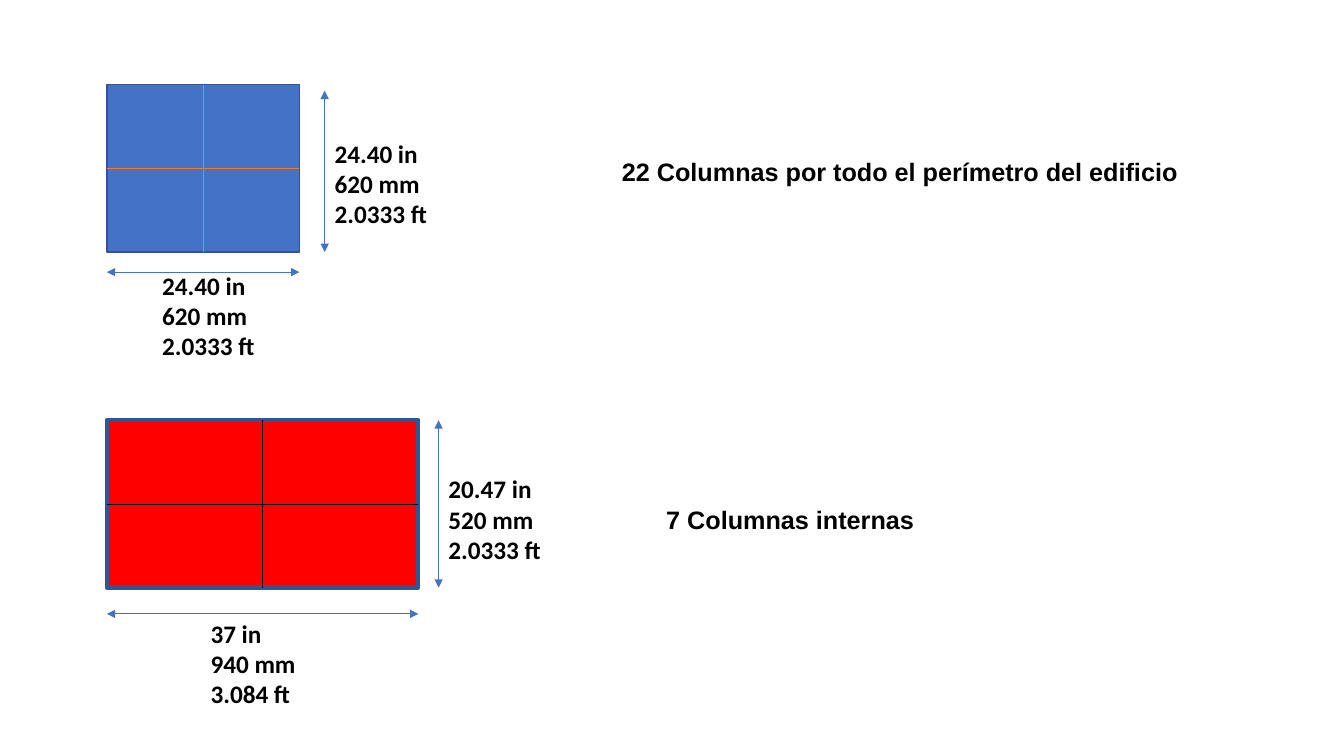
"""Build a slide that shows the cross sections of two kinds of building column."""
from dataclasses import dataclass

from lxml.etree import SubElement
from pptx import Presentation
from pptx.dml.color import RGBColor
from pptx.enum.shapes import MSO_CONNECTOR, MSO_SHAPE
from pptx.enum.text import MSO_AUTO_SIZE, PP_ALIGN
from pptx.oxml.ns import qn
from pptx.shapes.autoshape import Shape
from pptx.shapes.connector import Connector
from pptx.slide import Slide
from pptx.util import Emu, Pt

EMU_PER_PX = 9144
COLORS = {
    "blue": "4472C4",
    "navy": "325491",
    "red": "FF0000",
    "orange": "ED7D31",
    "black": "000000",
}
TOP, LEFT, BOTTOM, RIGHT = range(4)


@dataclass(frozen=True)
class Box:
    left: int
    top: int
    width: int
    height: int

    @property
    def right(self) -> int:
        return self.left + self.width

    @property
    def bottom(self) -> int:
        return self.top + self.height


@dataclass(frozen=True)
class Label:
    box: Box
    lines: tuple[str, ...]
    font: str = "Calibri"


@dataclass(frozen=True)
class Column:
    box: Box
    fill: str
    border: float
    axis: str
    width_arrow_y: int
    height_arrow_x: int
    height_arrow_top: int
    labels: tuple[Label, ...]


COLUMNS = (
    Column(
        Box(106, 84, 191, 166), "blue", 1, "orange", 270, 322, 90,
        (
            Label(Box(322, 132, 114, 101), ("24.40 in", "620 mm", "2.0333 ft")),
            Label(Box(151, 263, 122, 101), ("24.40 in", "620 mm", "2.0333 ft")),
            Label(Box(607, 150, 583, 40),
                  ("22 Columnas por todo el perímetro del edificio",), "Arial"),
        ),
    ),
    Column(
        Box(106, 417, 309, 166), "red", 3, "black", 609, 435, 417,
        (
            Label(Box(435, 465, 114, 101), ("20.47 in", "520 mm", "2.0333 ft")),
            Label(Box(199, 608, 123, 101), ("37 in", "940 mm", "3.084 ft")),
            Label(Box(651, 495, 267, 40), ("7 Columnas internas",), "Arial"),
        ),
    ),
)


def px(value: int) -> Emu:
    """Turn px into EMU."""
    return Emu(value * EMU_PER_PX)


def color(name: str) -> RGBColor:
    """Look up a colour by its name."""
    return RGBColor.from_string(COLORS[name])


def place(box: Box) -> tuple[Emu, Emu, Emu, Emu]:
    """Give the position and size of a box in EMU."""
    return px(box.left), px(box.top), px(box.width), px(box.height)


def add_section(page: Slide, column: Column) -> Shape:
    """Draw the filled rectangle of a column."""
    section = page.shapes.add_shape(MSO_SHAPE.RECTANGLE, *place(column.box))
    section.shadow.inherit = False
    section.fill.solid()
    section.fill.fore_color.rgb = color(column.fill)
    section.line.color.rgb = color("navy")
    section.line.width = Pt(column.border)
    return section


def add_line(page: Slide, start: tuple[int, int], end: tuple[int, int],
             stroke: str, arrows: bool = False) -> Connector:
    """Draw a thin straight line, with arrowheads at both ends if asked."""
    line = page.shapes.add_connector(
        MSO_CONNECTOR.STRAIGHT, *(px(value) for value in start + end))
    line.line.color.rgb = color(stroke)
    line.line.width = Pt(0.5)
    SubElement(line._element.spPr, qn("a:effectLst"))
    if arrows:
        outline = line.line._get_or_add_ln()
        for tag in ("a:headEnd", "a:tailEnd"):
            SubElement(outline, qn(tag), type="triangle")
    return line


def add_axes(page: Slide, section: Shape, column: Column) -> None:
    """Join the middles of opposite sides of a section."""
    corner = (column.box.left, column.box.top)
    for start, end in ((TOP, BOTTOM), (LEFT, RIGHT)):
        axis = add_line(page, corner, corner, column.axis)
        axis.begin_connect(section, start)
        axis.end_connect(section, end)


def add_text(page: Slide, box: Box, lines: tuple[str, ...], *, font: str,
             size: int = 18, bold: bool = True, ink: str = "black") -> None:
    """Write lines as paragraphs of one text box."""
    frame = page.shapes.add_textbox(*place(box)).text_frame
    frame.word_wrap = True
    frame.auto_size = MSO_AUTO_SIZE.SHAPE_TO_FIT_TEXT
    for index, text in enumerate(lines):
        para = frame.add_paragraph() if index else frame.paragraphs[0]
        para.alignment = PP_ALIGN.LEFT
        span = para.add_run()
        span.text = text
        span.font.name = font
        span.font.size = Pt(size)
        span.font.bold = bold
        span.font.color.rgb = color(ink)


def add_column(page: Slide, column: Column) -> None:
    """Draw a column section with its axes, dimensions and labels."""
    box = column.box
    section = add_section(page, column)
    add_line(page, (box.left, column.width_arrow_y),
             (box.right, column.width_arrow_y), "blue", arrows=True)
    add_line(page, (column.height_arrow_x, box.bottom),
             (column.height_arrow_x, column.height_arrow_top), "blue", arrows=True)
    for label in column.labels:
        add_text(page, label.box, label.lines, font=label.font)
    add_axes(page, section, column)


def main() -> None:
    """Build and save the deck."""
    deck = Presentation()
    deck.slide_width, deck.slide_height = px(1333), px(750)
    page = deck.slides.add_slide(deck.slide_layouts[6])
    for column in COLUMNS:
        add_column(page, column)
    deck.save("out.pptx")


if __name__ == "__main__":
    main()
